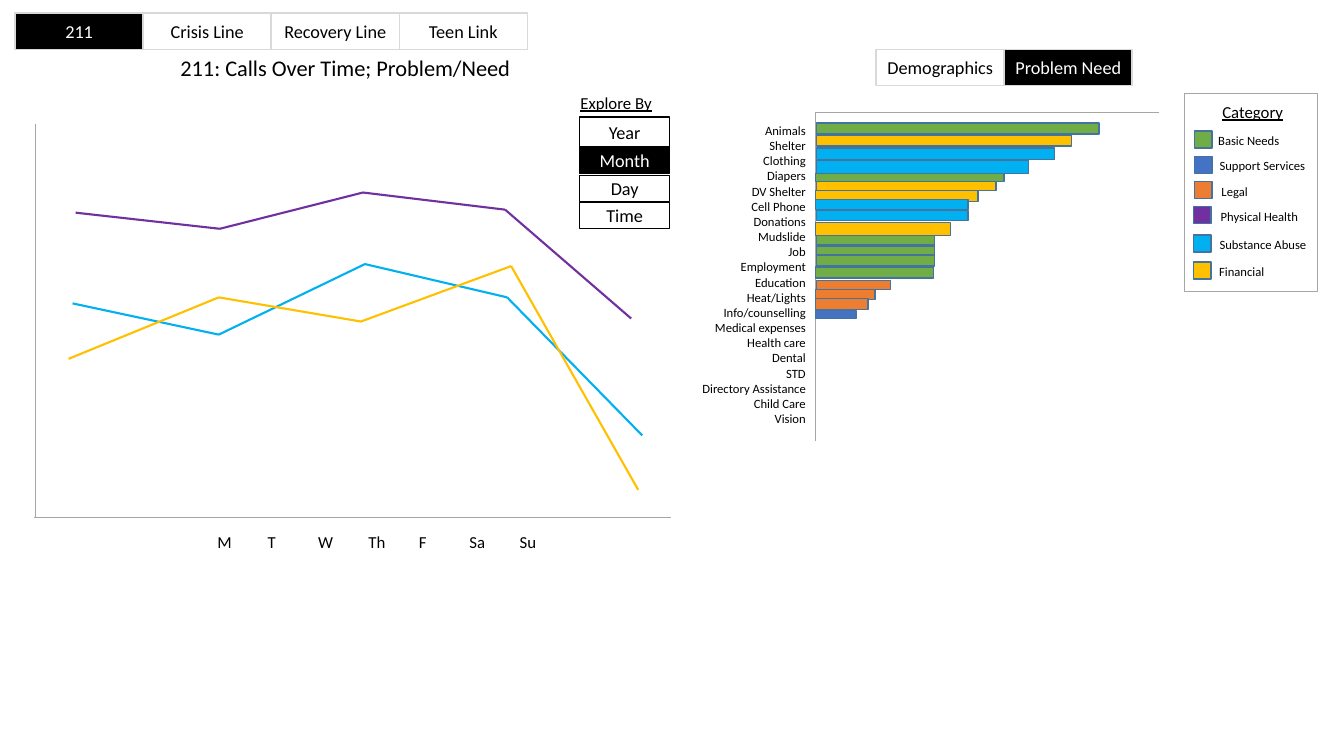
import itertools
from typing import NamedTuple

import pptx
import pptx.dml.color
import pptx.enum.shapes
import pptx.enum.text
import pptx.oxml.ns
import pptx.util
from pptx.util import Inches

COLORS = {
    "black": "000000", "white": "FFFFFF", "border": "D9D9D9", "axis": "A6A6A6",
    "edge": "43739E", "basic": "70AD47", "support": "4472C4", "legal": "ED7D31",
    "physical": "7030A0", "substance": "00B0F0", "financial": "FFC000",
}
FONT = "Calibri"
Align = pptx.enum.text.PP_ALIGN


class Box(NamedTuple):
    left: float
    top: float
    width: float
    height: float


class Button(NamedTuple):
    text: str
    box: Box
    border: str
    active: bool = False


class LegendEntry(NamedTuple):
    text: str
    color: str
    swatch_left: float
    swatch_top: float
    text_left: float
    text_width: float


class Bar(NamedTuple):
    color: str
    box: Box


class Segment(NamedTuple):
    x1: float
    y1: float
    x2: float
    y2: float


def rgb(color: str) -> pptx.dml.color.RGBColor:
    return pptx.dml.color.RGBColor.from_string(COLORS[color])


def write(frame, lines: list[str], size: float, color: str = "black",
          align=Align.CENTER, underline: bool = False) -> None:
    for index, line in enumerate(lines):
        paragraph = frame.add_paragraph() if index else frame.paragraphs[0]
        paragraph.alignment = align
        run = paragraph.add_run()
        run.text = line
        run.font.name = FONT
        run.font.size = pptx.util.Pt(size)
        run.font.color.rgb = rgb(color)
        if underline:
            run.font.underline = True


def draw_text(box: Box, lines: list[str], size: float, **style) -> None:
    frame = slide.shapes.add_textbox(*map(Inches, box)).text_frame
    frame.word_wrap = False
    frame.auto_size = pptx.enum.text.MSO_AUTO_SIZE.SHAPE_TO_FIT_TEXT
    write(frame, lines, size, **style)


def draw_rect(box: Box, fill: str, border: str):
    rect = slide.shapes.add_shape(
        pptx.enum.shapes.MSO_SHAPE.RECTANGLE, *map(Inches, box))
    rect.shadow.inherit = False
    rect.fill.solid()
    rect.fill.fore_color.rgb = rgb(fill)
    rect.line.color.rgb = rgb(border)
    rect.line.width = pptx.util.Pt(1)
    return rect


def draw_button(button: Button) -> None:
    fill, ink = ("black", "white") if button.active else ("white", "black")
    frame = draw_rect(button.box, fill, button.border).text_frame
    frame.margin_left = frame.margin_right = Inches(0.05)
    frame.vertical_anchor = pptx.enum.text.MSO_ANCHOR.MIDDLE
    write(frame, [button.text], 13, ink)


def draw_line(segment: Segment, color: str, width: float) -> None:
    line = slide.shapes.add_connector(
        pptx.enum.shapes.MSO_CONNECTOR.STRAIGHT, *map(Inches, segment))
    line.line.color.rgb = rgb(color)
    line.line.width = pptx.util.Pt(width)
    properties = line._element.spPr
    properties.append(properties.makeelement(pptx.oxml.ns.qn("a:effectLst"), {}))


def draw_legend_entry(entry: LegendEntry) -> None:
    draw_rect(Box(entry.swatch_left, entry.swatch_top, 0.17, 0.17), entry.color, "edge")
    draw_text(Box(entry.text_left, entry.swatch_top - 0.03, entry.text_width, 0.25),
              [entry.text], 9)


deck = pptx.Presentation()
deck.slide_width, deck.slide_height = Inches(13.33), Inches(7.5)
slide = deck.slides.add_slide(deck.slide_layouts[6])

# Line tabs and view tabs
TAB_WIDTH, TAB_HEIGHT = 1.27, 0.36
tab_rows = [
    (0.15, 0.13, ["211", "Crisis Line", "Recovery Line", "Teen Link"], "211"),
    (8.69, 0.49, ["Demographics", "Problem Need"], "Problem Need"),
]
for left, top, names, selected in tab_rows:
    for column, name in enumerate(names):
        tab_box = Box(left + column * TAB_WIDTH, top, TAB_WIDTH, TAB_HEIGHT)
        draw_button(Button(name, tab_box, "border", name == selected))

# Category legend
draw_rect(Box(11.75, 0.93, 1.32, 1.96), "white", "axis")
draw_text(Box(12.02, 0.96, 0.81, 0.3), ["Category"], 12, underline=True)
categories = [
    LegendEntry("Basic Needs", "basic", 11.85, 1.3, 11.98, 0.81),
    LegendEntry("Support Services", "support", 11.85, 1.55, 11.99, 1.06),
    LegendEntry("Legal", "legal", 11.85, 1.8, 12.01, 0.47),
    LegendEntry("Physical Health", "physical", 11.84, 2.05, 12, 0.98),
    LegendEntry("Substance Abuse", "substance", 11.84, 2.33, 11.99, 1.07),
    LegendEntry("Financial", "financial", 11.84, 2.6, 11.99, 0.65),
]
for category in categories:
    draw_legend_entry(category)

# Problem/need axes and labels
for axis in (Segment(11.5, 1.11, 8.09, 1.11), Segment(8.09, 1.11, 8.09, 4.38)):
    draw_line(axis, "axis", 0.5)
needs = [
    "Animals", "Shelter", "Clothing", "Diapers", "DV Shelter", "Cell Phone",
    "Donations", "Mudslide", "Job", "Employment", "Education", "Heat/Lights",
    "Info/counselling", "Medical expenses", "Health care", "Dental", "STD",
    "Directory Assistance", "Child Care", "Vision",
]
draw_text(Box(6.85, 1.17, 1.24, 3.13), needs, 9, align=Align.RIGHT)

# Problem/need bars, back to front
bars = [
    Bar("basic", Box(8.1, 1.22, 2.8, 0.11)),
    Bar("basic", Box(8.09, 1.72, 1.87, 0.08)),
    Bar("basic", Box(8.1, 2.32, 1.17, 0.11)),
    Bar("financial", Box(8.1, 1.34, 2.53, 0.11)),
    Bar("financial", Box(8.1, 1.8, 1.78, 0.09)),
    Bar("financial", Box(8.09, 1.89, 1.61, 0.11)),
    Bar("financial", Box(8.09, 2.21, 1.34, 0.13)),
    Bar("substance", Box(8.1, 1.47, 2.36, 0.11)),
    Bar("substance", Box(8.1, 1.59, 2.1, 0.13)),
    Bar("substance", Box(8.09, 1.98, 1.51, 0.1)),
    Bar("substance", Box(8.1, 2.09, 1.5, 0.1)),
    Bar("basic", Box(8.1, 2.44, 1.17, 0.11)),
    Bar("basic", Box(8.1, 2.53, 1.17, 0.11)),
    Bar("basic", Box(8.09, 2.65, 1.17, 0.11)),
    Bar("legal", Box(8.1, 2.78, 0.73, 0.09)),
    Bar("legal", Box(8.09, 2.87, 0.59, 0.1)),
    Bar("legal", Box(8.09, 2.96, 0.52, 0.11)),
    Bar("support", Box(8.09, 3.08, 0.4, 0.08)),
]
for bar in bars:
    draw_rect(bar.box, bar.color, "edge")

# Calls over time axes
for axis in (Segment(0.35, 1.23, 0.35, 5.13), Segment(0.34, 5.13, 6.66, 5.13)):
    draw_line(axis, "axis", 0.5)

# Explore By buttons
draw_text(Box(5.65, 0.87, 0.92, 0.3), ["Explore By"], 12, underline=True)
periods = [("Year", 1.16, 0.3), ("Month", 1.46, 0.26), ("Day", 1.74, 0.26), ("Time", 2.01, 0.26)]
for period, top, height in periods:
    draw_button(Button(period, Box(5.75, top, 0.89, height), "black", period == "Month"))

# Title and weekdays
draw_text(Box(1.67, 0.49, 3.51, 0.37), ["211: Calls Over Time; Problem/Need"], 16)
draw_text(Box(0.27, 5.23, 7.27, 0.3), ["M\tT\tW\tTh\tF\tSa\tSu\t"], 12)

# Call trends
trends = {
    "physical": [(0.75, 2.11), (2.18, 2.27), (3.6, 1.91), (5.01, 2.08), (6.26, 3.16)],
    "substance": [(0.72, 3.01), (2.17, 3.32), (3.62, 2.62), (5.03, 2.95), (6.37, 4.32)],
    "financial": [(0.68, 3.56), (2.17, 2.95), (3.58, 3.19), (5.07, 2.64), (6.33, 4.86)],
}
for color, points in trends.items():
    for start, end in itertools.pairwise(points):
        draw_line(Segment(*start, *end), color, 1.5)

deck.save("out.pptx")
